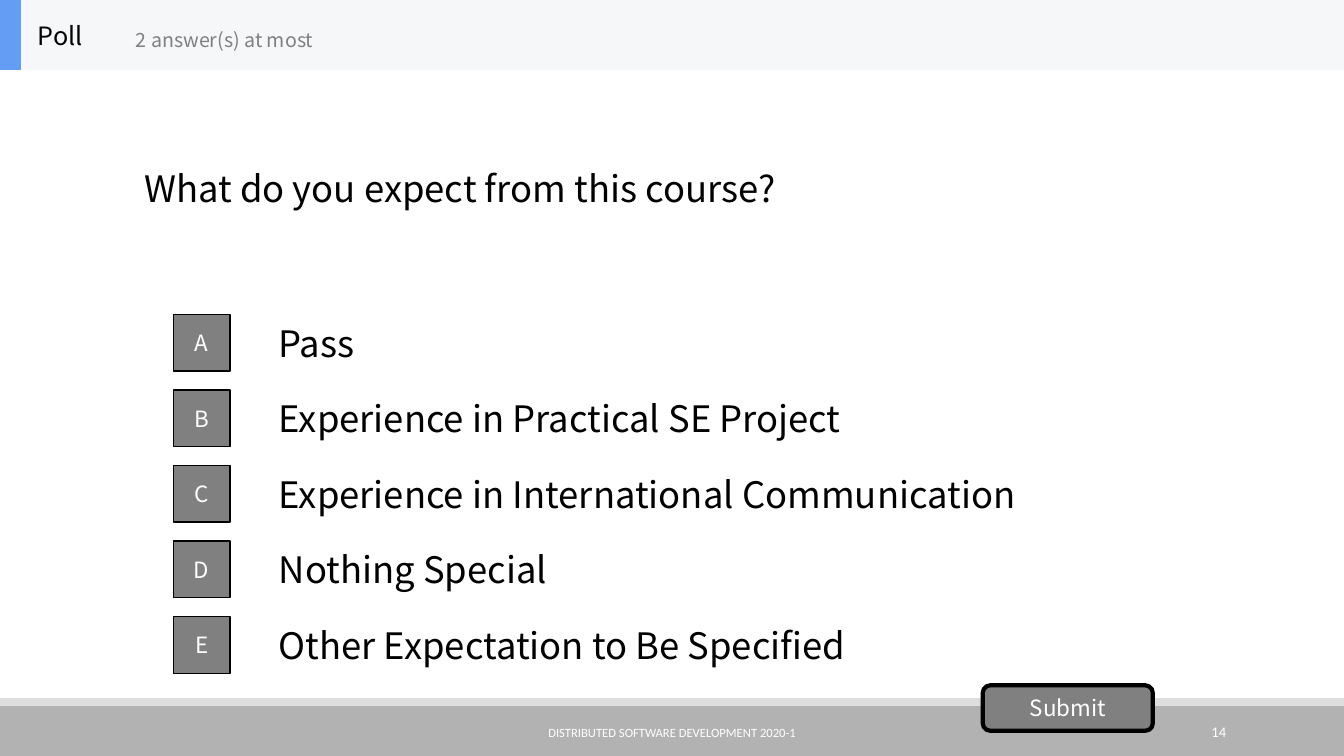
import pptx
import pptx.util
from pptx.dml.color import RGBColor
from pptx.enum.shapes import MSO_SHAPE
from pptx.enum.text import MSO_ANCHOR, PP_ALIGN

Pt = pptx.util.Pt

# Content
HEADING = "Poll"
HINT = "2 answer(s) at most"
QUESTION = "What do you expect from this course?"
ANSWERS = [
    ("A", "Pass"),
    ("B", "Experience in Practical SE Project"),
    ("C", "Experience in International Communication"),
    ("D", "Nothing Special"),
    ("E", "Other Expectation to Be Specified"),
]
SUBMIT = "Submit"
COURSE = "DISTRIBUTED SOFTWARE DEVELOPMENT 2020-1"
PAGE = "14"

# Style
POLL_FONT, FOOTER_FONT = "Noto Sans CJK SC", "Calibri"
BLACK = RGBColor(0x00, 0x00, 0x00)
WHITE = RGBColor(0xFF, 0xFF, 0xFF)
GRAY = RGBColor(0x80, 0x80, 0x80)
FOOTER_GRAY = RGBColor(0xB2, 0xB2, 0xB2)
FOOTER_EDGE = RGBColor(0xDD, 0xDD, 0xDD)
HEADER_GRAY = RGBColor(0xF6, 0xF7, 0xF8)
ACCENT_BLUE = RGBColor(0x63, 0x9E, 0xF4)

# Layout
WIDTH, HEIGHT = 960, 540
HEADER_HEIGHT = 50
FOOTER_TOP, FOOTER_EDGE_HEIGHT = 504, 5.4
FIRST_ANSWER_TOP, ANSWER_STEP, ANSWER_HEIGHT = 219.5, 54, 50.4
ANSWER_LEFT, ANSWER_WIDTH = 192, 672
KEY_LEFT, KEY_SIZE = 123.75, 40.5

deck = pptx.Presentation()
deck.slide_width, deck.slide_height = Pt(WIDTH), Pt(HEIGHT)
slide = deck.slides.add_slide(deck.slide_layouts[6])


def write(shape, words, size, color, align=PP_ALIGN.LEFT, font=POLL_FONT):
    frame = shape.text_frame
    frame.text = words
    frame.word_wrap = True
    frame.vertical_anchor = MSO_ANCHOR.MIDDLE
    line = frame.paragraphs[0]
    line.alignment = align
    line.font.size = Pt(size)
    line.font.name = font
    line.font.color.rgb = color


def add_label(box, words, size, color, align=PP_ALIGN.LEFT, font=POLL_FONT):
    label = slide.shapes.add_textbox(*map(Pt, box))
    write(label, words, size, color, align, font)


def add_block(box, fill, border=None, kind=MSO_SHAPE.RECTANGLE):
    block = slide.shapes.add_shape(kind, *map(Pt, box))
    block.shadow.inherit = False
    block.fill.solid()
    block.fill.fore_color.rgb = fill
    if border is None:
        block.line.fill.background()
    else:
        block.line.color.rgb = BLACK
        block.line.width = Pt(border)
    return block


# Footer
add_block((0, FOOTER_TOP, WIDTH, HEIGHT - FOOTER_TOP), FOOTER_GRAY)
add_block((0, FOOTER_TOP - FOOTER_EDGE_HEIGHT, WIDTH, FOOTER_EDGE_HEIGHT), FOOTER_EDGE)
add_label((290, 508.5, 380, 28.75), COURSE, 9, WHITE, PP_ALIGN.CENTER, FOOTER_FONT)
add_label((780, 508.5, 103, 28.75), PAGE, 10.5, WHITE, PP_ALIGN.RIGHT, FOOTER_FONT)

# Question and answers
add_label((96, HEADER_HEIGHT, 768, 168.5), QUESTION, 26, BLACK)
for row, (letter, answer) in enumerate(ANSWERS):
    top = FIRST_ANSWER_TOP + row * ANSWER_STEP
    add_label((ANSWER_LEFT, top, ANSWER_WIDTH, ANSWER_HEIGHT), answer, 26, BLACK)
    key_top = top + (ANSWER_HEIGHT - KEY_SIZE) / 2
    key = add_block((KEY_LEFT, key_top, KEY_SIZE, KEY_SIZE), GRAY, border=1)
    write(key, letter, 16, WHITE, PP_ALIGN.CENTER)

# Submit button
submit = add_block((702, 489.5, 121.5, 32.5), GRAY, border=3,
                   kind=MSO_SHAPE.ROUNDED_RECTANGLE)
write(submit, SUBMIT, 16, WHITE, PP_ALIGN.CENTER)

# Header
add_block((0, 0, WIDTH, HEADER_HEIGHT), HEADER_GRAY)
add_block((0, 0, 15, HEADER_HEIGHT), ACCENT_BLUE)
add_label((20, 0, 150, HEADER_HEIGHT), HEADING, 18, BLACK)
add_label((90, 8.5, 180, 40), HINT, 14, GRAY)

deck.save("out.pptx")
